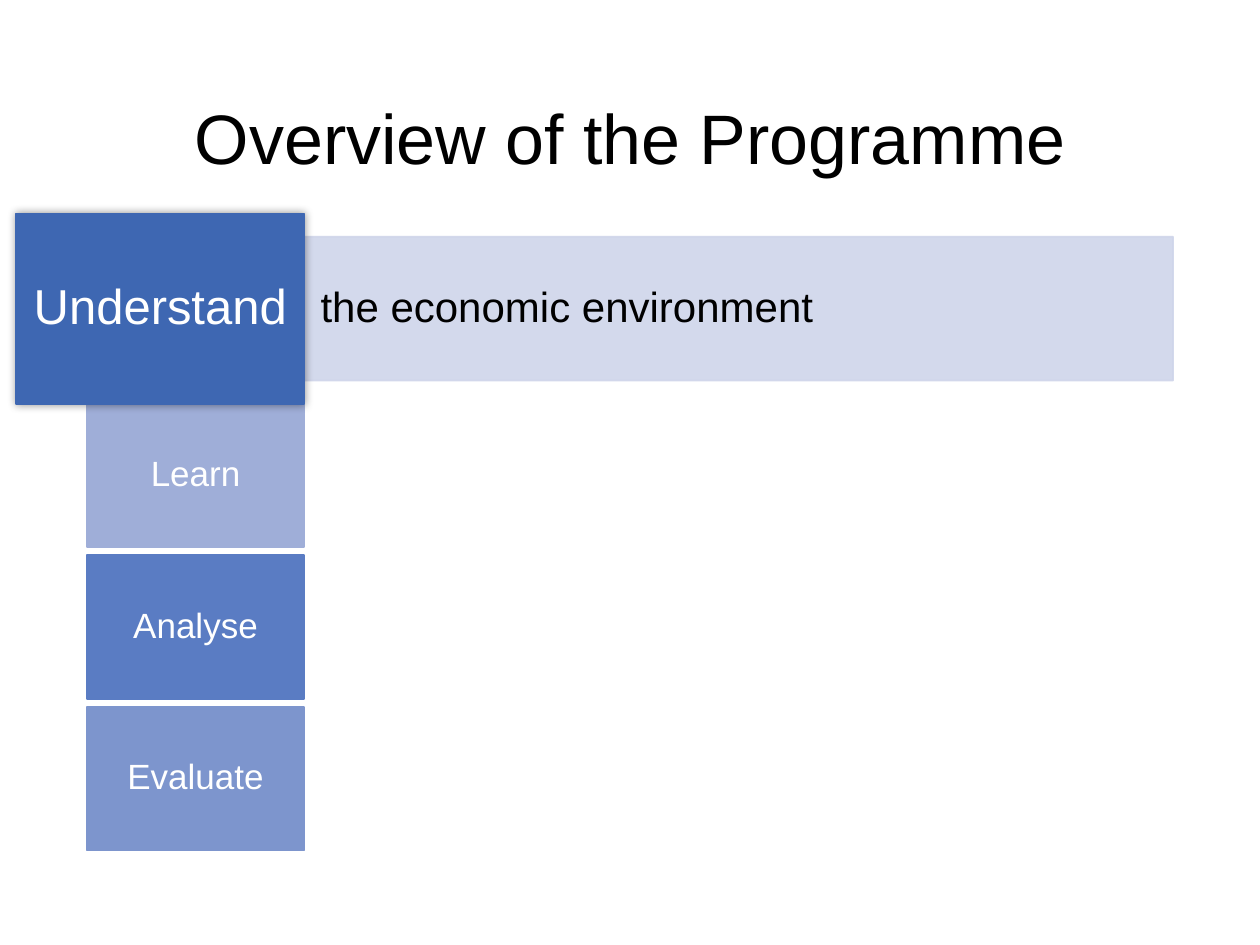
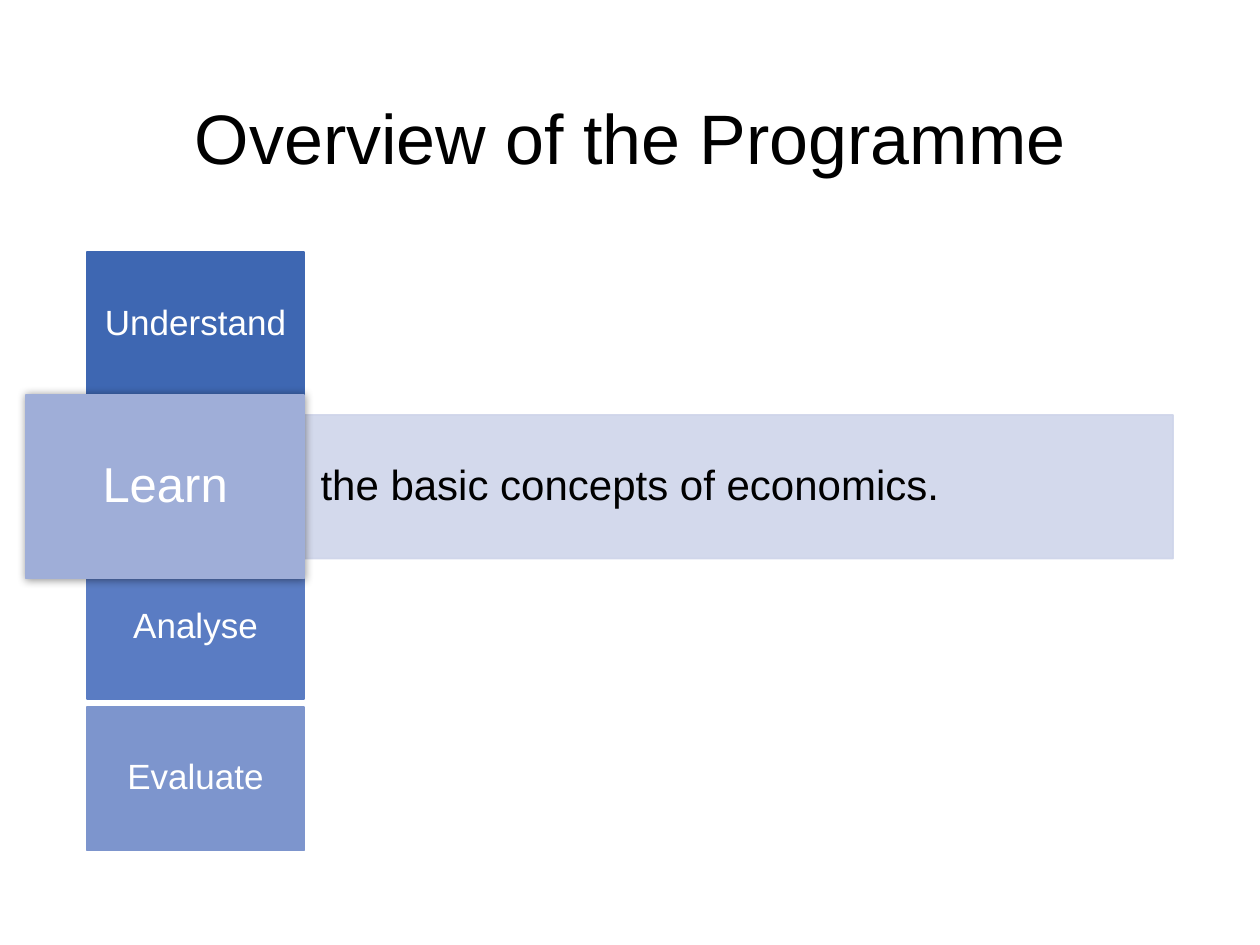
from collections import namedtuple

from lxml import etree
from pptx import Presentation, util as u
from pptx.dml.color import RGBColor
from pptx.enum import shapes, text
from pptx.oxml.ns import qn

Box = namedtuple("Box", "left top width height")

FONT = "Arial"
BLACK, WHITE, BAND = "000000", "FFFFFF", "CFD5EA"
TITLE = "Overview of the Programme"
TITLE_BOX = Box(0.69, 0.4, 8.62, 1.45)
PROGRAMME_BOX = Box(0.69, 2, 8.62, 4.75)
STAGES = [("Understand", "3E67B2"), ("Learn", "9FAED8"),
          ("Analyse", "5A7CC3"), ("Evaluate", "7D95CD")]
STAGE_SHARE = 0.2
ROW_SHARE = 0.24
LABEL_MARGINS = (0.09, 0.11)
BAND_MARGINS = (0.13, 0.29)

Focus = namedtuple("Focus", "stage message scale shift")
FOCUSES = [Focus(0, "the economic environment", 1.325, -0.12),
           Focus(1, "the basic concepts of economics.", 1.28, 0.09)]


def colour(value):
    return RGBColor.from_string(value)


def format_text(shape, words, size, ink, alignment):
    frame = shape.text_frame
    frame.text = words
    frame.word_wrap = True
    frame.vertical_anchor = text.MSO_ANCHOR.MIDDLE
    paragraph = frame.paragraphs[0]
    paragraph.alignment = alignment
    paragraph.line_spacing = 0.9
    paragraph.font.name = FONT
    paragraph.font.size = u.Pt(size)
    paragraph.font.color.rgb = colour(ink)


def set_alpha(parent, percent):
    for element in list(parent.iter(qn("a:srgbClr"))):
        etree.SubElement(element, qn("a:alpha"), val=str(percent * 1000))


def add_glow_shadow(shape):
    effects = shape._element.spPr.find(qn("a:effectLst"))
    shadow = etree.SubElement(effects, qn("a:outerShdw"), blurRad=str(u.Pt(5)),
                              dist="0", dir="0", algn="ctr", rotWithShape="0")
    etree.SubElement(shadow, qn("a:srgbClr"), val=BLACK)
    set_alpha(shadow, 40)


def add_block(slide, box, fill, words, size, ink=WHITE,
              alignment=text.PP_ALIGN.CENTER, margins=LABEL_MARGINS):
    shape = slide.shapes.add_shape(shapes.MSO_SHAPE.RECTANGLE, *map(u.Inches, box))
    shape.shadow.inherit = False
    shape.fill.solid()
    shape.fill.fore_color.rgb = colour(fill)
    shape.line.color.rgb = colour(fill)
    shape.line.width = u.Pt(1)
    format_text(shape, words, size, ink, alignment)
    frame = shape.text_frame
    frame.margin_left = frame.margin_right = u.Inches(margins[0])
    frame.margin_top = frame.margin_bottom = u.Inches(margins[1])
    return shape


def add_title(slide, box):
    title = slide.shapes.title
    title.left, title.top, title.width, title.height = map(u.Inches, box)
    format_text(title, TITLE, 40, BLACK, text.PP_ALIGN.CENTER)


def add_programme(slide, box, focus):
    width, height = box.width * STAGE_SHARE, box.height * ROW_SHARE
    pitch = (box.height - height) / (len(STAGES) - 1)
    right = box.left + width

    for row, (name, fill) in enumerate(STAGES):
        if row != focus.stage:
            add_block(slide, Box(box.left, box.top + row * pitch, width, height),
                      fill, name, 20)

    top = box.top + focus.stage * pitch + focus.shift
    band = add_block(slide, Box(right, top, box.width - width, height), BAND,
                     focus.message, 24, BLACK, text.PP_ALIGN.LEFT, BAND_MARGINS)
    set_alpha(band._element.spPr, 90)

    name, fill = STAGES[focus.stage]
    large_width, large_height = width * focus.scale, height * focus.scale
    large_box = Box(right - large_width, top - (large_height - height) / 2,
                    large_width, large_height)
    add_glow_shadow(add_block(slide, large_box, fill, name, 28))


def main():
    presentation = Presentation()
    presentation.slide_width = u.Inches(10)
    presentation.slide_height = u.Inches(7.5)
    for focus in FOCUSES:
        slide = presentation.slides.add_slide(presentation.slide_layouts[5])
        add_title(slide, TITLE_BOX)
        add_programme(slide, PROGRAMME_BOX, focus)
    presentation.save("out.pptx")


if __name__ == "__main__":
    main()
